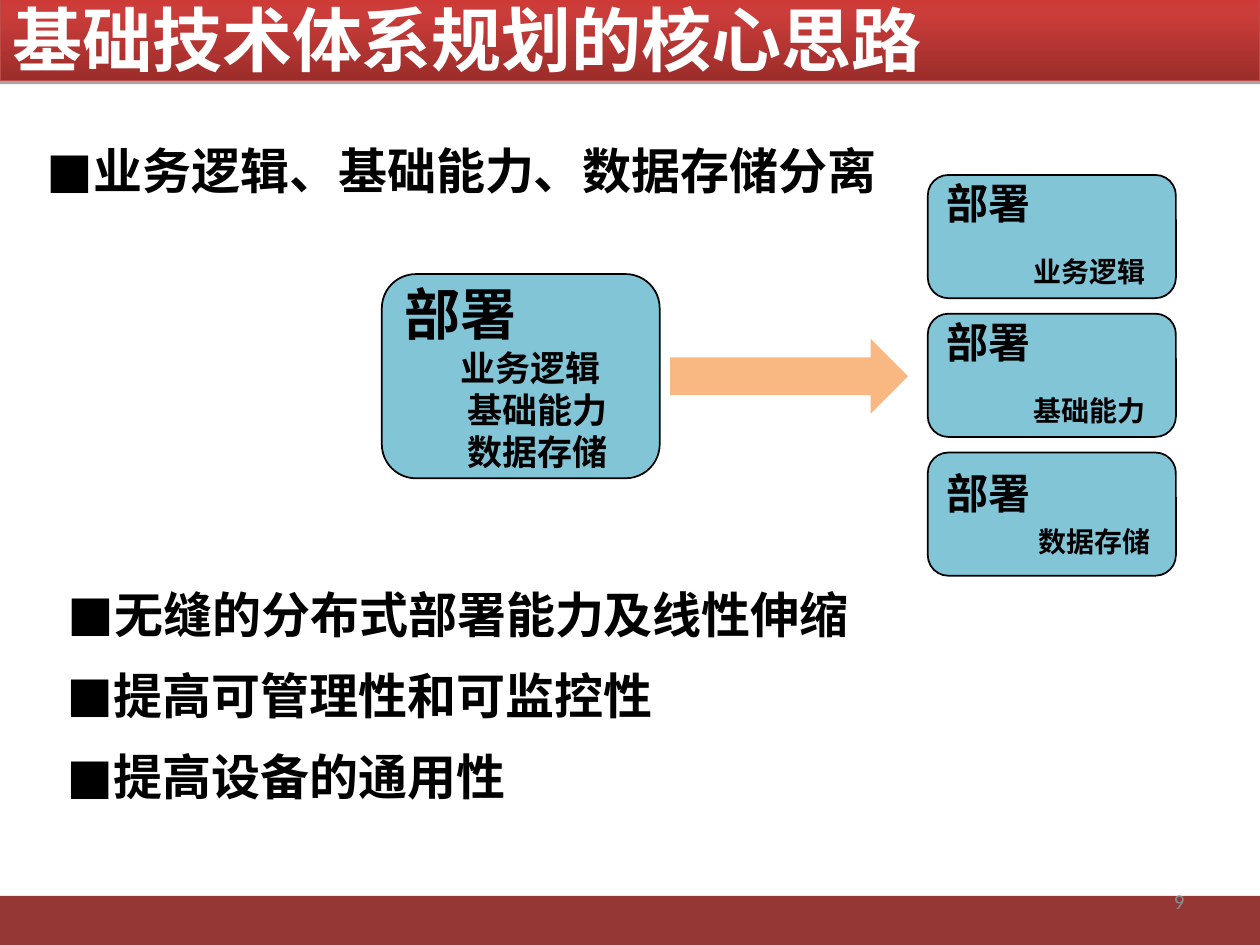
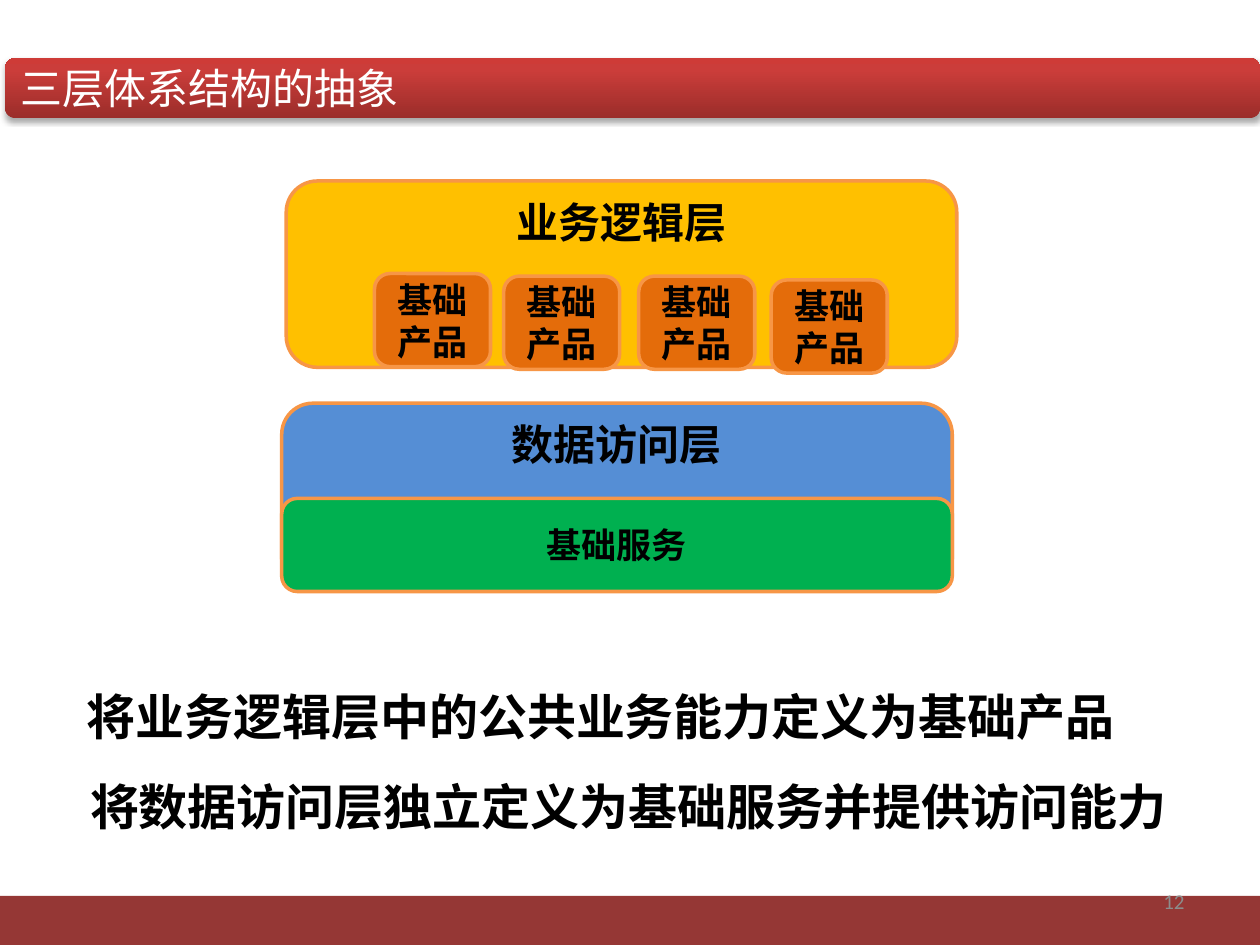
from dataclasses import dataclass
from typing import Optional

from lxml.etree import SubElement
from pptx import Presentation
from pptx.dml.color import RGBColor
from pptx.enum.shapes import MSO_SHAPE as Preset
from pptx.enum.text import MSO_ANCHOR as Anchor, PP_ALIGN as Align
from pptx.oxml.ns import qn
from pptx.util import Pt

LATIN, HAN = "Calibri", "Noto Sans CJK SC"
BLACK, WHITE, GREY = "000000", "FFFFFF", "8C8C8C"
BAND, TEAL, ORANGE = "953735", "4BACC6", "F79646"
TITLE_STOPS = ((0, "9B2D2A"), (80, "CB3D3A"), (100, "CE3B37"))


@dataclass(frozen=True)
class Frame:
    left: float
    top: float
    width: float
    height: float

    def lengths(self) -> list:
        return [Pt(v) for v in (self.left, self.top, self.width, self.height)]


@dataclass(frozen=True)
class Line:
    text: str
    size: float
    font: str = LATIN
    bold: bool = True
    colour: str = BLACK
    align: Align = Align.LEFT
    before: float = 0
    indent: float = 0
    bullet: str = ""


@dataclass(frozen=True)
class Block:
    frame: Frame
    lines: tuple = ()
    preset: Preset = Preset.ROUNDED_RECTANGLE
    fill: Optional[str] = None
    opacity: int = 100
    border: Optional[str] = None
    weight: float = 0
    anchor: Anchor = Anchor.MIDDLE
    bottom_inset: float = 3.6


@dataclass(frozen=True)
class Title:
    block: Block
    blur: float


def rgb(colour: str) -> RGBColor:
    return RGBColor.from_string(colour)


def add_child(parent, tag: str, **values):
    return SubElement(parent, qn(tag), {key: str(value) for key, value in values.items()})


def write_lines(text_frame, block: Block) -> None:
    settings = {"word_wrap": True, "vertical_anchor": block.anchor,
                "margin_bottom": Pt(block.bottom_inset)}
    for name, value in settings.items():
        setattr(text_frame, name, value)
    for index, line in enumerate(block.lines):
        para = text_frame.add_paragraph() if index else text_frame.paragraphs[0]
        for name, value in {"alignment": line.align, "space_before": Pt(line.before)}.items():
            setattr(para, name, value)
        properties = para._p.get_or_add_pPr()
        if line.indent:
            properties.set("marL", str(Pt(line.indent)))
        if line.bullet:
            properties.set("indent", str(-Pt(line.indent)))
            add_child(properties, "a:buFont", typeface=LATIN)
            add_child(properties, "a:buChar", char=line.bullet)
        span = para.add_run()
        span.text = line.text
        font = {"name": line.font, "size": Pt(line.size), "bold": line.bold}
        for name, value in font.items():
            setattr(span.font, name, value)
        span.font.color.rgb = rgb(line.colour)
        add_child(span._r.get_or_add_rPr(), "a:ea", typeface=line.font)


def add_block(page, block: Block):
    shape = page.shapes.add_shape(block.preset, *block.frame.lengths())
    shape.shadow.inherit = False
    if block.fill:
        shape.fill.solid()
        shape.fill.fore_color.rgb = rgb(block.fill)
        if block.opacity < 100:
            colour = shape._element.spPr.find(qn("a:solidFill"))[0]
            add_child(colour, "a:alpha", val=block.opacity * 1000)
    if block.border:
        shape.line.color.rgb = rgb(block.border)
        shape.line.width = Pt(block.weight)
    else:
        shape.line.fill.background()
    if block.lines:
        write_lines(shape.text_frame, block)
    return shape


def add_text(page, frame: Frame, line: Line, anchor: Anchor = Anchor.TOP) -> None:
    box = page.shapes.add_textbox(*frame.lengths())
    write_lines(box.text_frame, Block(frame, (line,), anchor=anchor))


def add_title(page, title: Title) -> None:
    """Draw a title bar with a three-stop gradient and a shadow below it."""
    shape = add_block(page, title.block)
    shape.fill.gradient()
    shape.fill.gradient_angle = 90
    properties = shape._element.spPr
    stops = properties.find(qn("a:gradFill")).find(qn("a:gsLst"))
    for stop in list(stops):
        stops.remove(stop)
    for position, colour in TITLE_STOPS:
        stop = add_child(stops, "a:gs", pos=position * 1000)
        add_child(stop, "a:srgbClr", val=colour)
    shadow = add_child(properties.find(qn("a:effectLst")), "a:outerShdw",
                       blurRad=Pt(title.blur), dist=Pt(1.8), dir=5400000, rotWithShape=0)
    add_child(add_child(shadow, "a:srgbClr", val=BLACK), "a:alpha", val=35000)


def add_page(deck, number: int):
    page = deck.slides.add_slide(deck.slide_layouts[6])
    add_block(page, Block(Frame(0, 512, 720, 28), preset=Preset.RECTANGLE, fill=BAND))
    add_text(page, Frame(516, 500.5, 168, 28.75),
             Line(str(number), 12, bold=False, colour=GREY, align=Align.RIGHT), Anchor.MIDDLE)
    return page


def deployment(frame: Frame, lines: tuple, bottom_inset: float = 3.6) -> Block:
    return Block(frame, lines, fill=TEAL, opacity=69, border=BLACK, weight=1,
                 bottom_inset=bottom_inset)


def layer(frame: Frame, text: str, size: float, fill: str, anchor: Anchor) -> Block:
    return Block(frame, (Line(text, size, align=Align.CENTER),), fill=fill,
                 border=ORANGE, weight=2, anchor=anchor)


def build_core_ideas(deck) -> None:
    page = add_page(deck, 9)
    ideas = (
        (Frame(19.4, 77, 522, 45.4), "业务逻辑、基础能力、数据存储分离"),
        (Frame(31.4, 330.5, 464, 45.4), "无缝的分布式部署能力及线性伸缩"),
        (Frame(31, 376.9, 445, 45.4), "提高可管理性和可监控性"),
        (Frame(31, 423.3, 334, 45.4), "提高设备的通用性"),
    )
    for frame, text in ideas:
        add_text(page, frame, Line(text, 28, HAN, before=5.6, indent=27, bullet="■"))

    combined = (Line("部署", 32), Line("业务逻辑", 20, indent=32),
                Line("基础能力", 20, indent=36), Line("数据存储", 20, indent=36))
    add_block(page, deployment(Frame(218.2, 156.6, 158.8, 116.7), combined))
    add_block(page, Block(Frame(383, 193.5, 136, 43), preset=Preset.RIGHT_ARROW,
                          fill=ORANGE, opacity=67))
    separated = (("业务逻辑", 50, 15.2, 4.3), ("基础能力", 50, 15.2, 4.3),
                 ("数据存储", 53, 3.8, 1.1))
    for row, (text, indent, before, extra) in enumerate(separated):
        lines = (Line("部署", 24), Line(text, 16, before=before, indent=indent))
        frame = Frame(530.2, 100 + row * 79.3, 141.8, 70.4)
        add_block(page, deployment(frame, lines, 3.6 + extra))

    heading = Line("基础技术体系规划的核心思路", 40, HAN, colour=WHITE)
    add_title(page, Title(Block(Frame(0, -2, 720, 48), (heading,), Preset.RECTANGLE,
                                border="BE4B48", weight=0.75), blur=0))


def build_three_layers(deck) -> None:
    page = add_page(deck, 12)
    heading = Line("三层体系结构的抽象", 24, HAN, bold=False, colour=WHITE)
    add_title(page, Title(Block(Frame(3, 33.2, 717, 34.3), (heading,)), blur=3.1))
    statements = (
        (Frame(42.5, 388.8, 663, 45.4), "将业务逻辑层中的公共业务能力定义为基础产品"),
        (Frame(44.4, 440, 662, 45.4), "将数据访问层独立定义为基础服务并提供访问能力"),
    )
    for frame, text in statements:
        add_text(page, frame, Line(text, 28, HAN, before=5.6))

    add_block(page, layer(Frame(163.6, 103.4, 383.2, 106.5), "业务逻辑层", 24, "FFC000", Anchor.TOP))
    for left, top in ((214, 156.3), (287.8, 157.8), (365, 157.8), (440.7, 160)):
        add_block(page, layer(Frame(left, top, 66.3, 53.2), "基础产品", 20, "E46C0A", Anchor.MIDDLE))
    add_block(page, layer(Frame(161, 230.4, 383.2, 106.5), "数据访问层", 24, "558ED5", Anchor.TOP))
    add_block(page, layer(Frame(161, 284.8, 383.2, 53.2), "基础服务", 20, "00B050", Anchor.MIDDLE))


def main() -> None:
    deck = Presentation()
    deck.slide_width, deck.slide_height = Pt(720), Pt(540)
    build_core_ideas(deck)
    build_three_layers(deck)
    deck.save("out.pptx")


if __name__ == "__main__":
    main()
